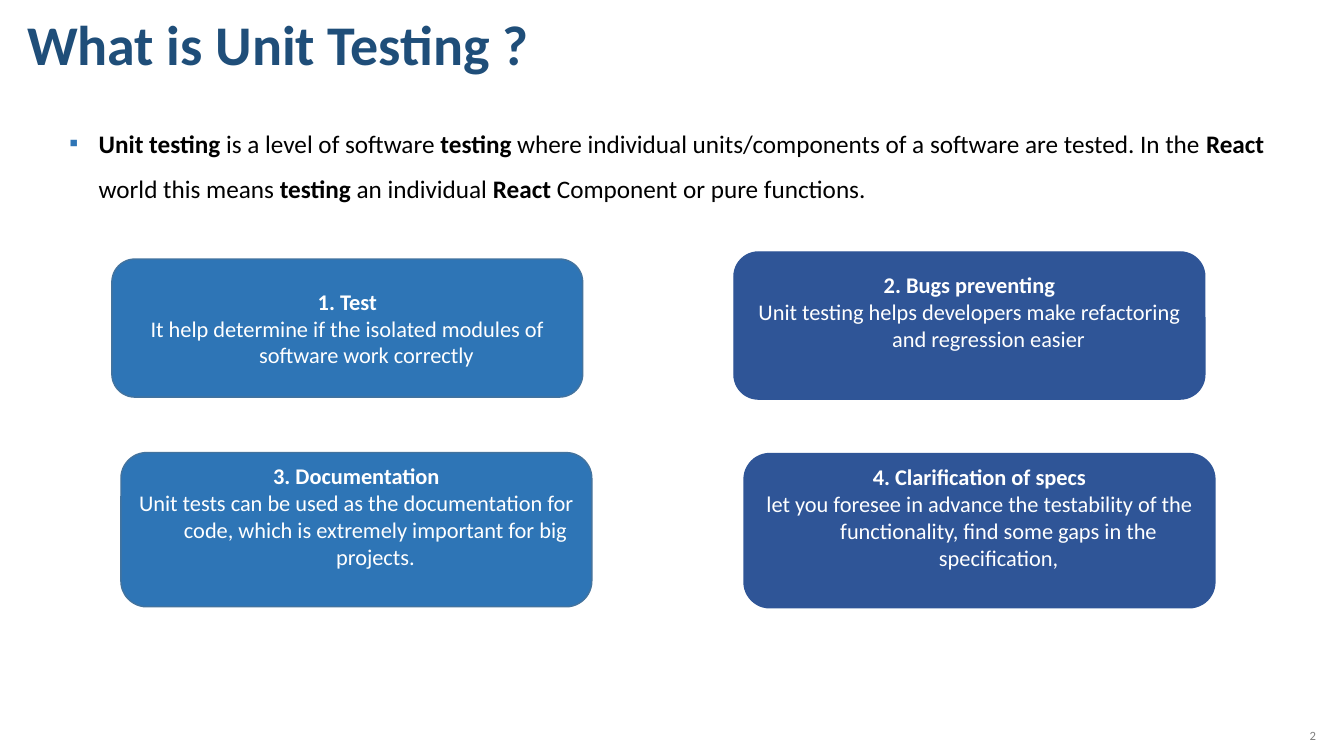
from lxml import etree
from pptx import Presentation
from pptx.dml.color import RGBColor
from pptx.enum.shapes import MSO_SHAPE
from pptx.enum.text import MSO_ANCHOR, PP_ALIGN
from pptx.oxml.ns import qn
from pptx.util import Inches, Pt

ROUNDED = MSO_SHAPE.ROUNDED_RECTANGLE
LEFT, CENTER, RIGHT = PP_ALIGN.LEFT, PP_ALIGN.CENTER, PP_ALIGN.RIGHT
MIDDLE = MSO_ANCHOR.MIDDLE

FONT = "Calibri"
WHITE, BLACK, GRAY = "FFFFFF", "000000", "808080"
NAVY, BLUE, BLUE_EDGE, INDIGO = "1F4E79", "2E75B6", "43739E", "2F5597"
CARD_WIDTH = 4.67
INSET = 0.05
LINE_HEIGHT = 0.27

DEFINITION = (
    "**Unit testing** is a level of software **testing** where individual "
    "units/components of a software are tested. In the **React** world this means "
    "**testing** an individual **React** Component or pure functions."
)

# left, top, height, fill, edge, free lines below the text, heading, body
CARDS = [
    (1.11, 2.57, 1.37, BLUE, BLUE_EDGE, 0, "1. Test",
     "It help determine if the isolated modules of software work correctly"),
    (7.28, 2.5, 1.46, INDIGO, INDIGO, 1, "2. Bugs preventing",
     "Unit testing helps developers make refactoring and regression easier"),
    (1.2, 4.49, 1.53, BLUE, BLUE_EDGE, 1, "3. Documentation",
     "Unit tests can be used as the documentation for code, "
     "which is extremely important for big projects."),
    (7.38, 4.5, 1.53, INDIGO, INDIGO, 1, "4. Clarification of specs",
     "let you foresee in advance the testability of the functionality, "
     "find some gaps in the specification,"),
]


def color(hex_value):
    return RGBColor.from_string(hex_value)


def style_run(run, size, hex_value, bold=False):
    run.font.name = FONT
    run.font.size = Pt(size)
    run.font.bold = bold
    run.font.color.rgb = color(hex_value)


def set_hanging_indent(paragraph, inches):
    properties = paragraph._p.get_or_add_pPr()
    properties.set("marL", str(Inches(inches)))
    properties.set("indent", str(-Inches(inches)))
    return properties


def add_bullet(paragraph, symbol, hex_value):
    properties = set_hanging_indent(paragraph, 0.29)
    bullet_color = etree.SubElement(properties, qn("a:buClr"))
    etree.SubElement(bullet_color, qn("a:srgbClr"), val=hex_value)
    etree.SubElement(properties, qn("a:buFont"), typeface=FONT)
    etree.SubElement(properties, qn("a:buChar"), char=symbol)


def add_text(slide, left, top, width, height, text, size, hex_value,
             bold=False, align=LEFT, spacing=1.0):
    """Add a one-paragraph text box; ** in the text toggles bold."""
    box = slide.shapes.add_textbox(
        Inches(left), Inches(top), Inches(width), Inches(height))
    box.text_frame.word_wrap = True
    paragraph = box.text_frame.paragraphs[0]
    paragraph.alignment = align
    paragraph.line_spacing = spacing
    for index, part in enumerate(text.split("**")):
        if part:
            run = paragraph.add_run()
            run.text = part
            style_run(run, size, hex_value, bold or index % 2 == 1)
    return paragraph


def add_card(slide, left, top, height, fill, edge, free_lines, heading, body):
    card = slide.shapes.add_shape(
        ROUNDED, Inches(left), Inches(top), Inches(CARD_WIDTH), Inches(height))
    card.shadow.inherit = False
    card.fill.solid()
    card.fill.fore_color.rgb = color(fill)
    card.line.color.rgb = color(edge)
    card.line.width = Pt(1)

    frame = card.text_frame
    frame.word_wrap = True
    frame.vertical_anchor = MIDDLE
    frame.margin_bottom = Inches(INSET + free_lines * LINE_HEIGHT)
    frame.text = f"{heading}\n{body}"
    for index, paragraph in enumerate(frame.paragraphs):
        paragraph.alignment = CENTER
        set_hanging_indent(paragraph, 0.38)
        style_run(paragraph.runs[0], 16, WHITE, bold=index == 0)


def main():
    presentation = Presentation()
    presentation.slide_width = Inches(13.33)
    presentation.slide_height = Inches(7.5)
    slide = presentation.slides.add_slide(presentation.slide_layouts[6])

    # Title
    add_text(slide, 0.17, 0.12, 12.99, 0.87, "What is Unit Testing ?", 40, NAVY,
             bold=True, spacing=0.9)

    # Definition
    definition = add_text(slide, 0.59, 1.07, 12.33, 0.96, DEFINITION, 18, BLACK,
                          spacing=1.5)
    definition.space_before = Pt(6)
    definition.space_after = Pt(6)
    add_bullet(definition, "▪", BLUE)

    # Benefits
    for card in CARDS:
        add_card(slide, *card)

    # Slide number
    add_text(slide, 12.8, 7.17, 0.35, 0.25, "2", 9, GRAY, align=RIGHT)

    presentation.save("out.pptx")


if __name__ == "__main__":
    main()
